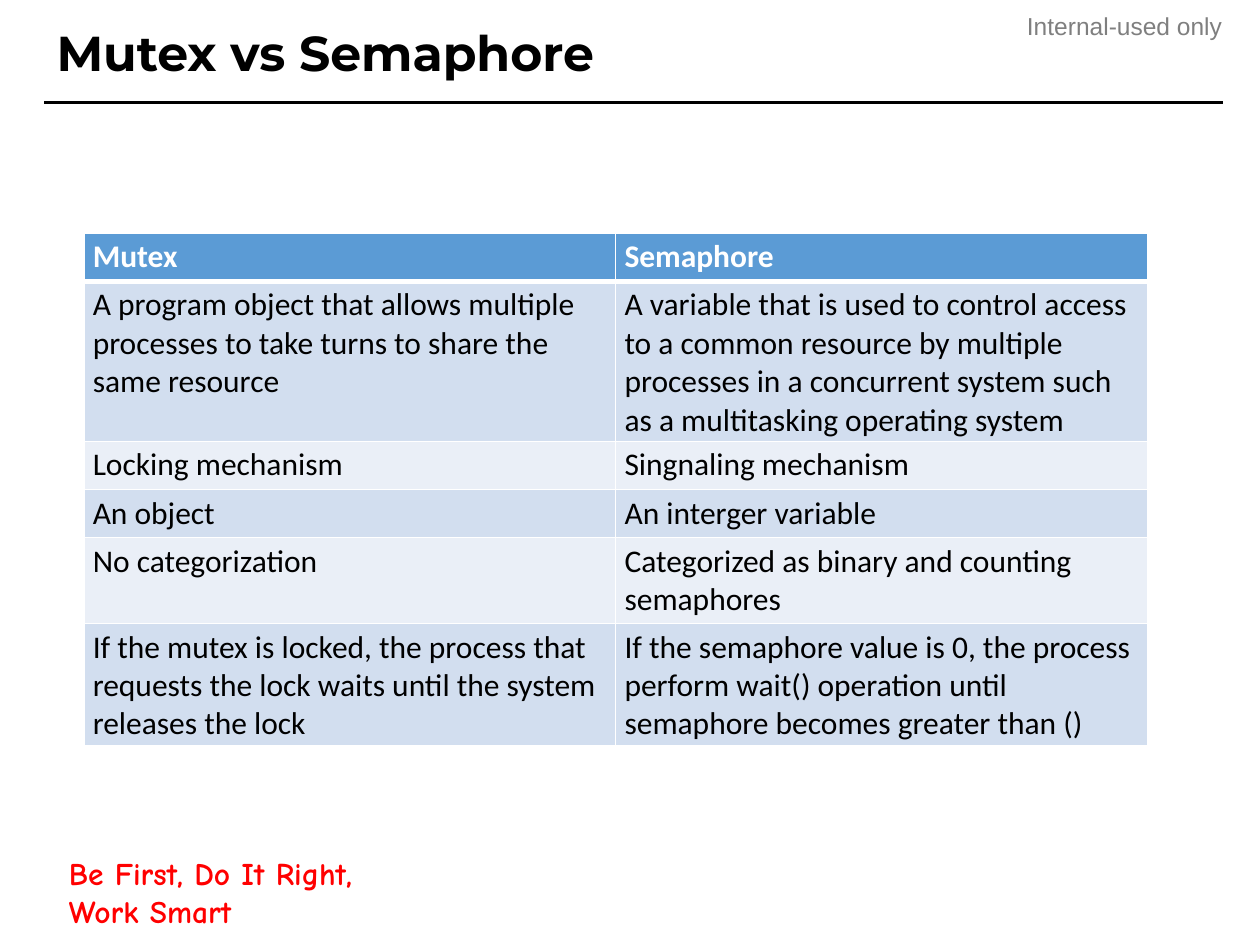
from dataclasses import dataclass

from lxml.etree import SubElement
from pptx import Presentation
from pptx.dml.color import RGBColor
from pptx.enum.shapes import MSO_CONNECTOR
from pptx.enum.text import MSO_ANCHOR as Anchor, PP_ALIGN as Align
from pptx.oxml.ns import qn
from pptx.util import Cm, Pt


@dataclass(frozen=True)
class Theme:
    black: str = "000000"
    white: str = "FFFFFF"
    grey: str = "7F7F7F"
    red: str = "FF0000"
    header: str = "5B9BD5"
    bands: tuple = ("D2DEEF", "EAEFF7")
    title_size: int = 28
    body_size: int = 18
    label_size: int = 14


theme = Theme()


def style_text(frame, text, font_name, size, color, bold=False):
    """Fill a text frame with one paragraph in one style and return it."""
    frame.text = text
    frame.word_wrap = True
    para = frame.paragraphs[0]
    font = para.runs[0].font
    font.name, font.size, font.bold = font_name, Pt(size), bold
    font.color.rgb = RGBColor.from_string(color)
    return para


def add_border(cell, side, width):
    line = SubElement(cell._tc.get_or_add_tcPr(), qn(f"a:{side}"), w=str(Pt(width)))
    fill = SubElement(line, qn("a:solidFill"))
    SubElement(fill, qn("a:srgbClr"), val=theme.white)


deck = Presentation()
deck.slide_width, deck.slide_height = Cm(25.4), Cm(19.05)
page = deck.slides.add_slide(deck.slide_layouts[6])

# Classification label
box = page.shapes.add_textbox(Cm(20.24), Cm(0.23), Cm(4.4), Cm(0.61))
frame = box.text_frame
frame.margin_left = frame.margin_right = frame.margin_top = frame.margin_bottom = 0
para = style_text(frame, "Internal-used only", "Arial", theme.label_size, theme.grey)
para.alignment = Align.RIGHT
frame.word_wrap = False

# Motto
box = page.shapes.add_textbox(Cm(1.14), Cm(17.68), Cm(6.81), Cm(0.61))
box.text_frame.vertical_anchor = Anchor.MIDDLE
style_text(box.text_frame, "Be First, Do It Right, Work Smart", "Comic Neue",
           theme.body_size, theme.red, bold=True)

# Title and rule
rule = page.shapes.add_connector(MSO_CONNECTOR.STRAIGHT, Cm(0.89), Cm(2.06), Cm(24.66), Cm(2.06))
rule.line.color.rgb = RGBColor.from_string(theme.black)
rule.line.width = Pt(1.5)
SubElement(rule._element.spPr, qn("a:effectLst"))

box = page.shapes.add_textbox(Cm(0.89), Cm(0.2), Cm(23.75), Cm(1.85))
box.text_frame.vertical_anchor = Anchor.MIDDLE
para = style_text(box.text_frame, "Mutex vs Semaphore", "Montserrat",
                  theme.title_size, theme.black, bold=True)
para.line_spacing = 0.9

# Comparison table: row height, mutex, semaphore
comparison = [
    (0.97, "Mutex", "Semaphore"),
    (3.23, "A program object that allows multiple processes to take turns to share the same resource",
     "A variable that is used to control access to a common resource by multiple processes "
     "in a concurrent system such as a multitasking operating system"),
    (0.97, "Locking mechanism", "Singnaling mechanism"),
    (0.97, "An object", "An interger variable"),
    (1.73, "No categorization", "Categorized as binary and counting semaphores"),
    (2.46, "If the mutex is locked, the process that requests the lock waits until the system releases the lock",
     "If the semaphore value is 0, the process perform wait() operation "
     "until semaphore becomes greater than ()"),
]
table_height = sum(height for height, *_ in comparison)
table = page.shapes.add_table(len(comparison), 2, Cm(1.69), Cm(4.7), Cm(21.44), Cm(table_height)).table

for row_index, (height, *texts) in enumerate(comparison):
    table.rows[row_index].height = Cm(height)
    is_header = row_index == 0
    fill_color = theme.header if is_header else theme.bands[(row_index - 1) % 2]
    for column_index, text in enumerate(texts):
        cell = table.cell(row_index, column_index)
        cell.margin_left = cell.margin_right = Cm(0.18)
        cell.margin_top = cell.margin_bottom = Cm(0.09)
        style_text(cell.text_frame, text, "Calibri", theme.body_size,
                   theme.white if is_header else theme.black, bold=is_header)
        for side in ("lnL", "lnR", "lnT", "lnB"):
            header_edge = (row_index, side) in ((0, "lnB"), (1, "lnT"))
            add_border(cell, side, 3 if header_edge else 1)
        cell.fill.solid()
        cell.fill.fore_color.rgb = RGBColor.from_string(fill_color)

deck.save("out.pptx")
